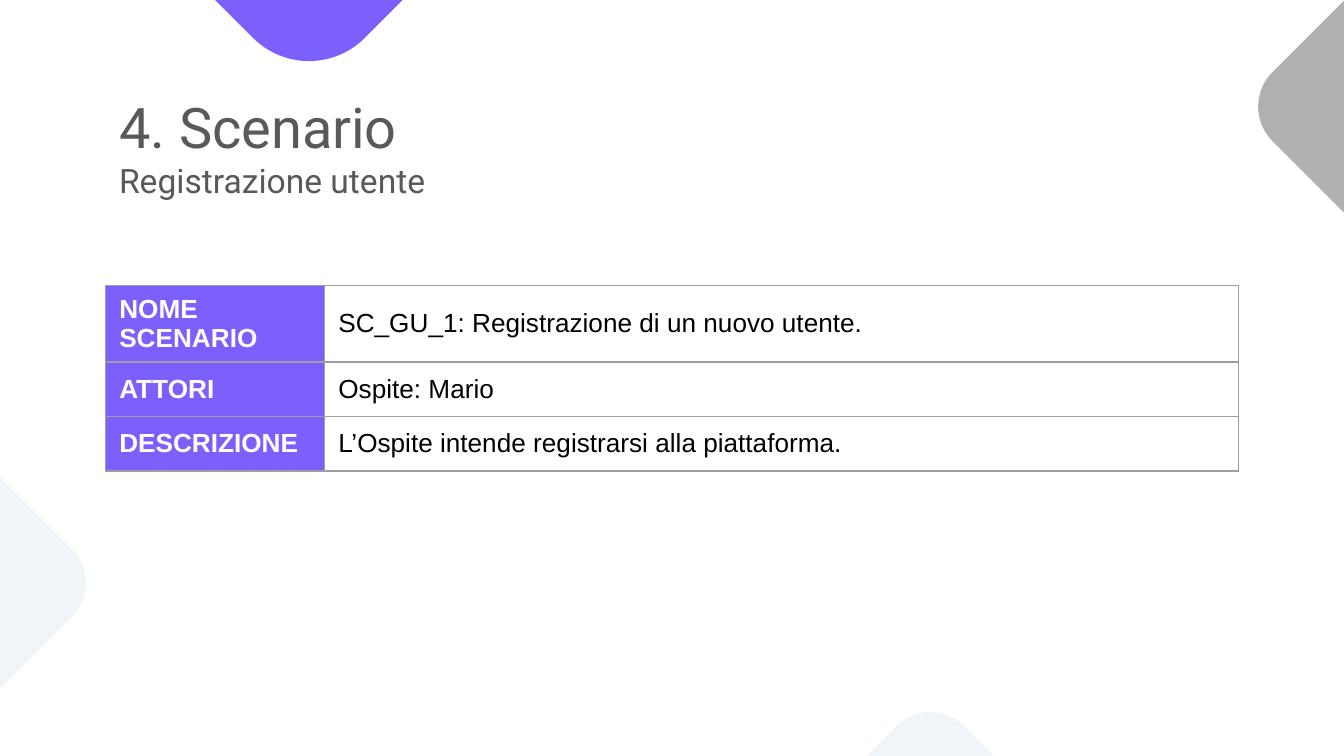
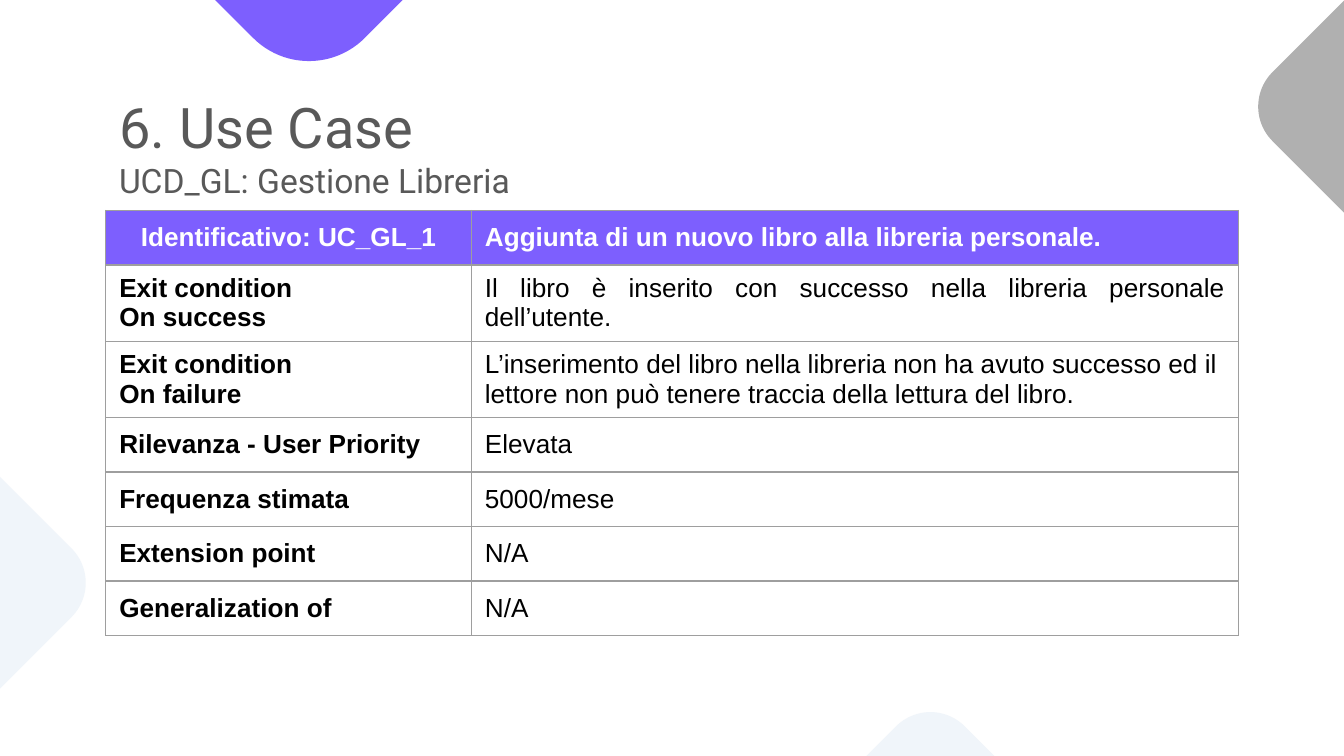
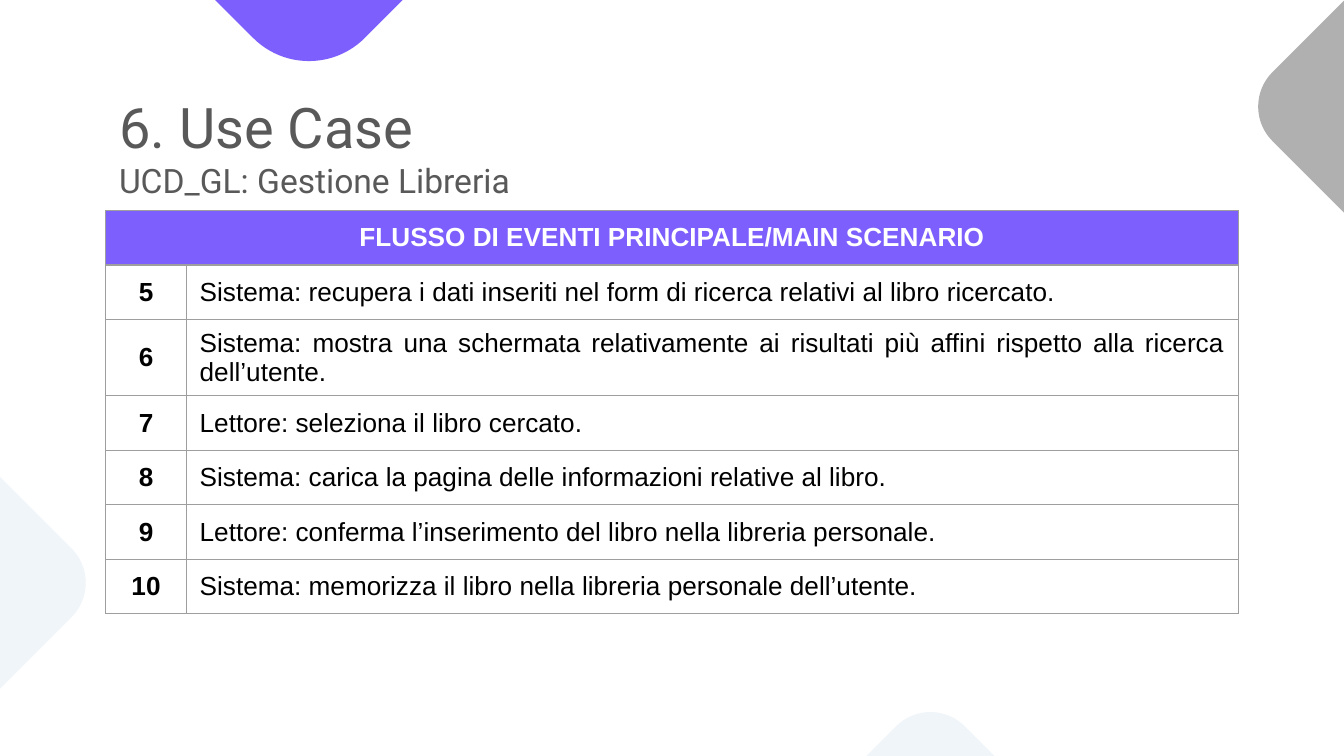
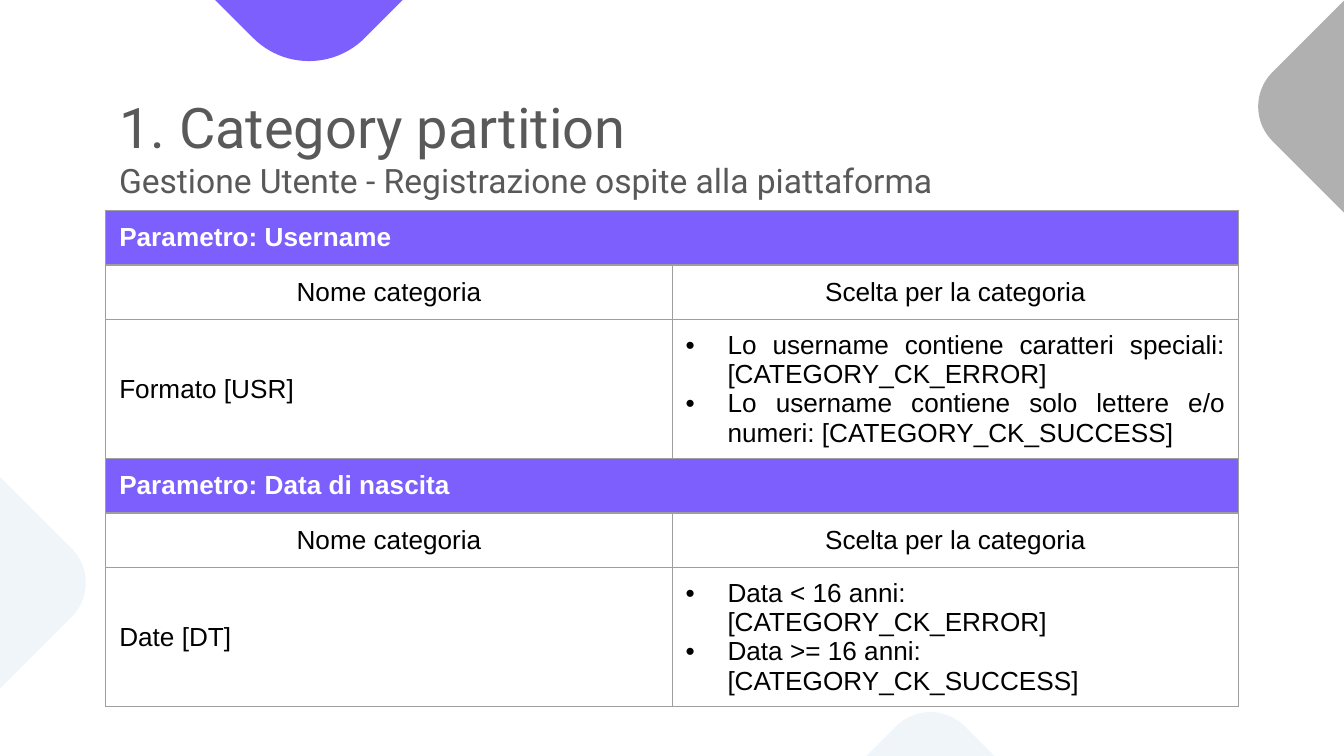
from dataclasses import dataclass

from lxml.etree import SubElement
from pptx import Presentation
from pptx.dml.color import RGBColor
from pptx.enum.shapes import MSO_SHAPE as Shape
from pptx.enum.text import MSO_ANCHOR as Anchor, PP_ALIGN as Align
from pptx.oxml.ns import qn
from pptx.util import Cm, Pt

PURPLE, GRAY, PALE = "7D5FFE", "B0B0B0", "F0F5FA"
WHITE, BLACK, TITLE, BORDER = "FFFFFF", "000000", "595959", "9E9E9E"
LEFT, WIDTH, ROW_HEIGHT = 2, 21.41, 1.03
TABLE_TOP = 3.98
DECORATIONS = [
    (1.37, -9.02, 8.94, PURPLE),
    (24.54, -0.74, 5.51, GRAY),
    (-4.65, 8.26, 5.51, PALE),
    (14.83, 14.22, 5.51, PALE),
]


def color(value):
    return RGBColor.from_string(value)


@dataclass
class Cell:
    text: str
    align: Align = Align.LEFT
    bold: bool = False
    header: bool = False
    bulleted: bool = False
    span: int = 1


def header(text, align=Align.LEFT, span=1):
    return Cell(text, align, bold=True, header=True, span=span)


def label(text, align=Align.LEFT):
    return Cell(text, align, bold=True)


def justified(text):
    return Cell(text, Align.JUSTIFY)


def centered(text):
    return Cell(text, Align.CENTER)


class Deck:
    def __init__(self):
        self.presentation = Presentation()
        self.presentation.slide_width = Cm(25.4)
        self.presentation.slide_height = Cm(14.29)
        self.slide = None

    def add_slide(self, heading, subheading):
        self.slide = self.presentation.slides.add_slide(self.presentation.slide_layouts[6])
        for left, top, side, fill in DECORATIONS:
            self.add_decoration(left, top, side, fill)
        self.add_title(heading, subheading)

    def add_decoration(self, left, top, side, fill):
        decoration = self.slide.shapes.add_shape(
            Shape.ROUNDED_RECTANGLE, Cm(left), Cm(top), Cm(side), Cm(side))
        decoration.rotation = 315
        decoration.shadow.inherit = False
        decoration.fill.solid()
        decoration.fill.fore_color.rgb = color(fill)
        decoration.line.fill.background()

    def add_title(self, heading, subheading):
        title = self.slide.shapes.add_textbox(Cm(LEFT), Cm(1.5), Cm(WIDTH), Cm(2.48))
        frame = title.text_frame
        frame.word_wrap = True
        frame.margin_left = frame.margin_right = Cm(0.25)
        frame.margin_top = frame.margin_bottom = Cm(0.25)
        paragraph = frame.paragraphs[0]
        paragraph.font.name = "Roboto"
        paragraph.font.color.rgb = color(TITLE)
        for text, size in ((heading, 30), (subheading, 18)):
            if paragraph.runs:
                paragraph.add_line_break()
            run = paragraph.add_run()
            run.text = text
            run.font.size = Pt(size)

    def add_table(self, rows, first_width, top=TABLE_TOP):
        table = self.slide.shapes.add_table(
            len(rows), 2, Cm(LEFT), Cm(top), Cm(WIDTH), Cm(ROW_HEIGHT * len(rows))).table
        table.first_row = table.horz_banding = False
        for column, width in zip(table.columns, (first_width, WIDTH - first_width)):
            column.width = Cm(width)
        for row_index, row in enumerate(rows):
            for cell in table.rows[row_index].cells:
                self.add_borders(cell)
                cell.fill.background()
            for column_index, content in enumerate(row):
                cell = table.cell(row_index, column_index)
                if content.span > 1:
                    cell.merge(table.cell(row_index, column_index + content.span - 1))
                self.fill_cell(cell, content)

    def fill_cell(self, cell, content):
        cell.vertical_anchor = Anchor.MIDDLE
        if content.header:
            cell.fill.solid()
            cell.fill.fore_color.rgb = color(PURPLE)
        cell.text = content.text
        for paragraph in cell.text_frame.paragraphs:
            paragraph.alignment = content.align
            if content.bulleted:
                self.add_bullet(paragraph)
            font = paragraph.font
            font.name = "Arial"
            font.size = Pt(14)
            font.bold = content.bold
            font.color.rgb = color(WHITE if content.header else BLACK)

    def add_borders(self, cell):
        properties = cell._tc.get_or_add_tcPr()
        for side in ("L", "R", "T", "B"):
            line = SubElement(properties, qn(f"a:ln{side}"), w=str(Pt(0.75)))
            fill = SubElement(line, qn("a:solidFill"))
            SubElement(fill, qn("a:srgbClr"), val=BORDER)

    def add_bullet(self, paragraph):
        properties = paragraph._p.get_or_add_pPr()
        indent = Cm(0.79)
        properties.set("marL", str(indent))
        properties.set("indent", str(-indent))
        bullet_color = SubElement(properties, qn("a:buClr"))
        SubElement(bullet_color, qn("a:srgbClr"), val=BLACK)
        SubElement(properties, qn("a:buFont"), typeface="Arial")
        SubElement(properties, qn("a:buChar"), char="•")


def add_scenario(deck):
    deck.add_slide("4. Scenario", "Registrazione utente")
    deck.add_table([
        (header("NOME\nSCENARIO"), Cell("SC_GU_1: Registrazione di un nuovo utente.")),
        (header("ATTORI"), Cell("Ospite: Mario")),
        (header("DESCRIZIONE"), Cell("L’Ospite intende registrarsi alla piattaforma.")),
    ], 4.14, top=5.4)


def add_use_case(deck):
    deck.add_slide("6. Use Case", "UCD_GL: Gestione Libreria")
    short_rows = [
        ("Rilevanza - User Priority", "Elevata"),
        ("Frequenza stimata", "5000/mese"),
        ("Extension point", "N/A"),
        ("Generalization of", "N/A"),
    ]
    deck.add_table([
        (header("Identificativo: UC_GL_1", Align.CENTER),
         header("Aggiunta di un nuovo libro alla libreria personale.")),
        (label("Exit condition\nOn success"),
         justified("Il libro è inserito con successo nella libreria personale dell’utente.")),
        (label("Exit condition\nOn failure"),
         Cell("L’inserimento del libro nella libreria non ha avuto successo ed il lettore "
              "non può tenere traccia della lettura del libro.")),
        *((label(name), justified(value)) for name, value in short_rows),
    ], 6.91)


def add_main_flow(deck):
    deck.add_slide("6. Use Case", "UCD_GL: Gestione Libreria")
    steps = [
        "Sistema: recupera i dati inseriti nel form di ricerca relativi al libro ricercato.",
        "Sistema: mostra una schermata relativamente ai risultati più affini rispetto "
        "alla ricerca dell’utente.",
        "Lettore: seleziona il libro cercato.",
        "Sistema: carica la pagina delle informazioni relative al libro.",
        "Lettore: conferma l’inserimento del libro nella libreria personale.",
        "Sistema: memorizza il libro nella libreria personale dell’utente.",
    ]
    deck.add_table([
        (header("FLUSSO DI EVENTI PRINCIPALE/MAIN SCENARIO", Align.CENTER, span=2),),
        *((label(str(number), Align.CENTER), justified(step))
          for number, step in enumerate(steps, 5)),
    ], 1.52)


def add_category_partition(deck):
    deck.add_slide("1. Category partition",
                   "Gestione Utente - Registrazione ospite alla piattaforma")
    parameters = [
        ("Username", Cell("Formato [USR]"), Align.JUSTIFY,
         "Lo username contiene caratteri speciali: [CATEGORY_CK_ERROR]\n"
         "Lo username contiene solo lettere e/o numeri: [CATEGORY_CK_SUCCESS]"),
        ("Data di nascita", justified("Date [DT]"), Align.LEFT,
         "Data < 16 anni: [CATEGORY_CK_ERROR]\n"
         "Data >= 16 anni: [CATEGORY_CK_SUCCESS]"),
    ]
    rows = []
    for name, category, align, choices in parameters:
        rows += [
            (header(f"Parametro: {name}", span=2),),
            (centered("Nome categoria"), centered("Scelta per la categoria")),
            (category, Cell(choices, align, bulleted=True)),
        ]
    deck.add_table(rows, WIDTH / 2)


def main():
    deck = Deck()
    add_scenario(deck)
    add_use_case(deck)
    add_main_flow(deck)
    add_category_partition(deck)
    deck.presentation.save("out.pptx")


if __name__ == "__main__":
    main()
